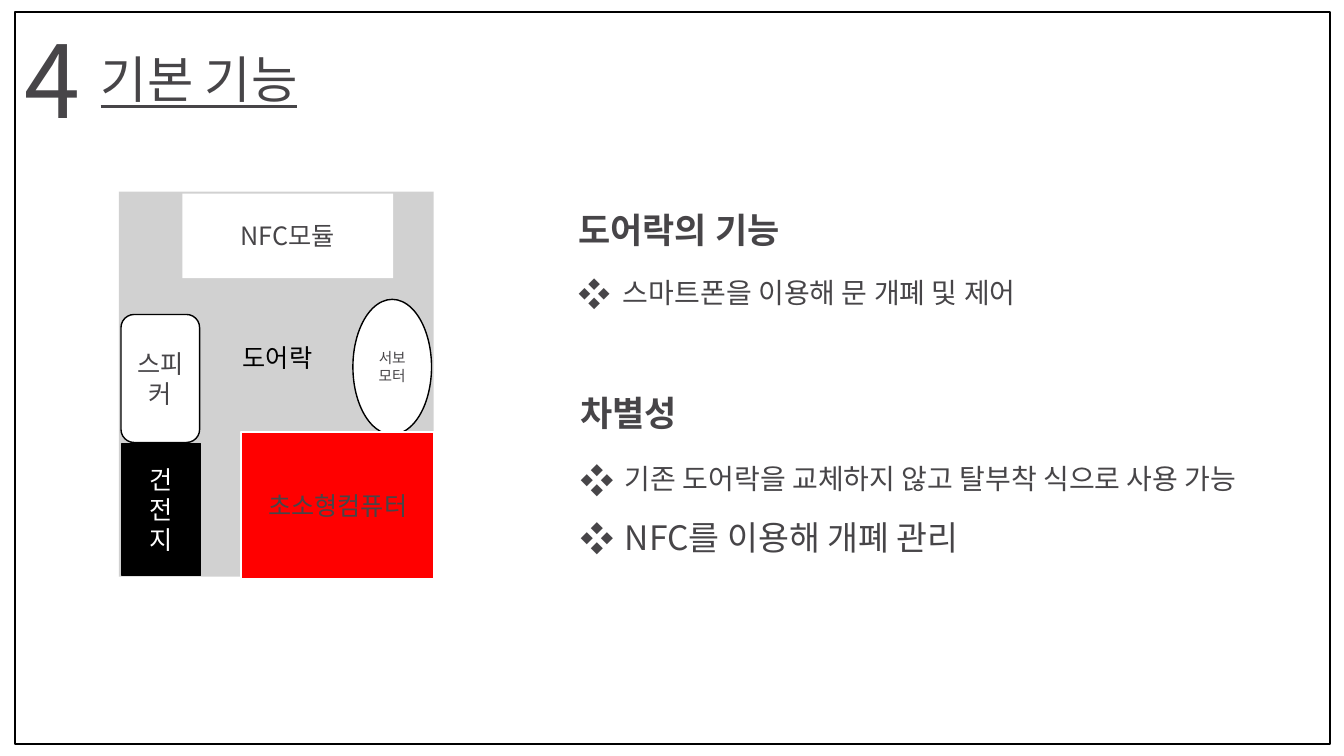
from lxml import etree
from pptx import Presentation
from pptx.dml.color import RGBColor
from pptx.enum.shapes import MSO_SHAPE
from pptx.enum.text import MSO_ANCHOR, PP_ALIGN
from pptx.oxml.ns import qn
from pptx.util import Inches, Pt

RECTANGLE, ROUNDED, OVAL = MSO_SHAPE.RECTANGLE, MSO_SHAPE.ROUNDED_RECTANGLE, MSO_SHAPE.OVAL
MIDDLE, CENTER, LEFT = MSO_ANCHOR.MIDDLE, PP_ALIGN.CENTER, PP_ALIGN.LEFT
FONT = "Noto Sans CJK KR"
DARK, BLACK, WHITE = "474548", "000000", "FFFFFF"


def color(value):
    return RGBColor.from_string(value)


def write(para, text, size, ink=DARK, align=LEFT, **formats):
    """Fill a paragraph with one formatted span."""
    para.alignment = align
    span = para.add_run()
    span.text = text
    for name, value in {"name": FONT, "size": Pt(size), **formats}.items():
        setattr(span.font, name, value)
    span.font.color.rgb = color(ink)
    etree.SubElement(span.font._element, qn("a:ea"), typeface=FONT)


def add_text_box(page, box, wrap=True):
    frame = page.shapes.add_textbox(*map(Inches, box)).text_frame
    frame.word_wrap = wrap
    return frame


def add_block(page, kind, box, fill=None, line=None, width=1.0, alpha=None,
              lines=(), size=18, ink=DARK):
    """Draw a preset shape with centred lines of text."""
    shape = page.shapes.add_shape(kind, *map(Inches, box))
    shape.shadow.inherit = False
    if fill:
        shape.fill.solid()
        shape.fill.fore_color.rgb = color(fill)
    else:
        shape.fill.background()
    if alpha:
        fill_color = shape._element.spPr.find(qn("a:solidFill"))[0]
        etree.SubElement(fill_color, qn("a:alpha"), val=str(alpha * 1000))
    if line:
        shape.line.color.rgb = color(line)
        shape.line.width = Pt(width)
    else:
        shape.line.fill.background()
    frame = shape.text_frame
    frame.word_wrap = True
    frame.vertical_anchor = MIDDLE
    for index, text in enumerate(lines):
        para = frame.add_paragraph() if index else frame.paragraphs[0]
        write(para, text, size, ink, CENTER)


def add_bullet(para, percent, indent=0.44):
    """Hang a diamond bullet in front of the paragraph."""
    properties = para._p.get_or_add_pPr()
    properties.set("marL", str(Inches(indent)))
    properties.set("indent", str(-Inches(indent)))
    etree.SubElement(properties, qn("a:buSzPct"), val=str(percent * 1000))
    etree.SubElement(properties, qn("a:buFont"), typeface=FONT)
    etree.SubElement(properties, qn("a:buChar"), char="❖")


def add_title(page, left, top):
    number = add_text_box(page, (left, top, 0.76, 1.3), wrap=False)
    write(number.paragraphs[0], "4", 72)
    title = add_text_box(page, (left + 0.76, top + 0.3, 4.05, 0.71))
    write(title.paragraphs[0], "기본 기능", 36, underline=True)


def add_door_lock(page, left, top):
    """Draw the lock body and its parts, placed from its top left corner."""
    add_block(page, RECTANGLE, (left, top, 3.12, 3.82), "A5A5A5", alpha=50)
    parts = [
        (RECTANGLE, (0.03, 2.5, 0.78, 1.31),
         {"fill": BLACK, "line": BLACK, "lines": "건전지", "ink": WHITE}),
        (RECTANGLE, (0.63, 0.02, 2.09, 0.84), {"lines": ["NFC모듈"]}),
        (OVAL, (2.32, 1.07, 0.78, 1.34),
         {"line": BLACK, "lines": ["서보모터"], "size": 10.5}),
        (ROUNDED, (0.02, 1.22, 0.78, 1.27), {"line": BLACK, "lines": ["스피커"]}),
        (RECTANGLE, (1.21, 2.39, 1.92, 1.45),
         {"fill": "FF0000", "line": WHITE, "width": 1.5, "lines": ["초소형컴퓨터"]}),
    ]
    for kind, (x, y, width, height), formats in parts:
        add_block(page, kind, (left + x, top + y, width, height),
                  **{"fill": WHITE, **formats})
    label = add_text_box(page, (left + 1.13, top + 1.45, 0.96, 0.4))
    write(label.paragraphs[0], "도어락", 18, BLACK)


def add_section(page, box, heading, bullets):
    """Write a bold heading over bullets of (text, size, space before, bullet percent)."""
    frame = add_text_box(page, box)
    write(frame.paragraphs[0], heading, 25, bold=True)
    for text, size, before, percent in bullets:
        para = frame.add_paragraph()
        write(para, text, size)
        para.space_before = Pt(before)
        add_bullet(para, percent)
    for para in frame.paragraphs:
        para.line_spacing = 1.5


def build_function_slide(deck):
    page = deck.slides.add_slide(deck.slide_layouts[6])
    add_block(page, RECTANGLE, (0.15, 0.12, 13.04, 7.26), line=BLACK)
    add_title(page, 0.14, 0.13)
    add_door_lock(page, 1.18, 1.9)
    add_section(page, (5.64, 1.81, 6.04, 1.3), "도어락의 기능",
                [("스마트폰을 이용해 문 개폐 및 제어", 20, 6, 115)])
    add_section(page, (5.66, 3.63, 7.27, 2.49), "차별성",
                [("기존 도어락을 교체하지 않고 탈부착 식으로 사용 가능", 20, 8, 120),
                 ("NFC를 이용해 개폐 관리", 24, 1, 100)])


def main():
    deck = Presentation()
    deck.slide_width, deck.slide_height = Inches(13.33), Inches(7.5)
    build_function_slide(deck)
    deck.save("out.pptx")


if __name__ == "__main__":
    main()
